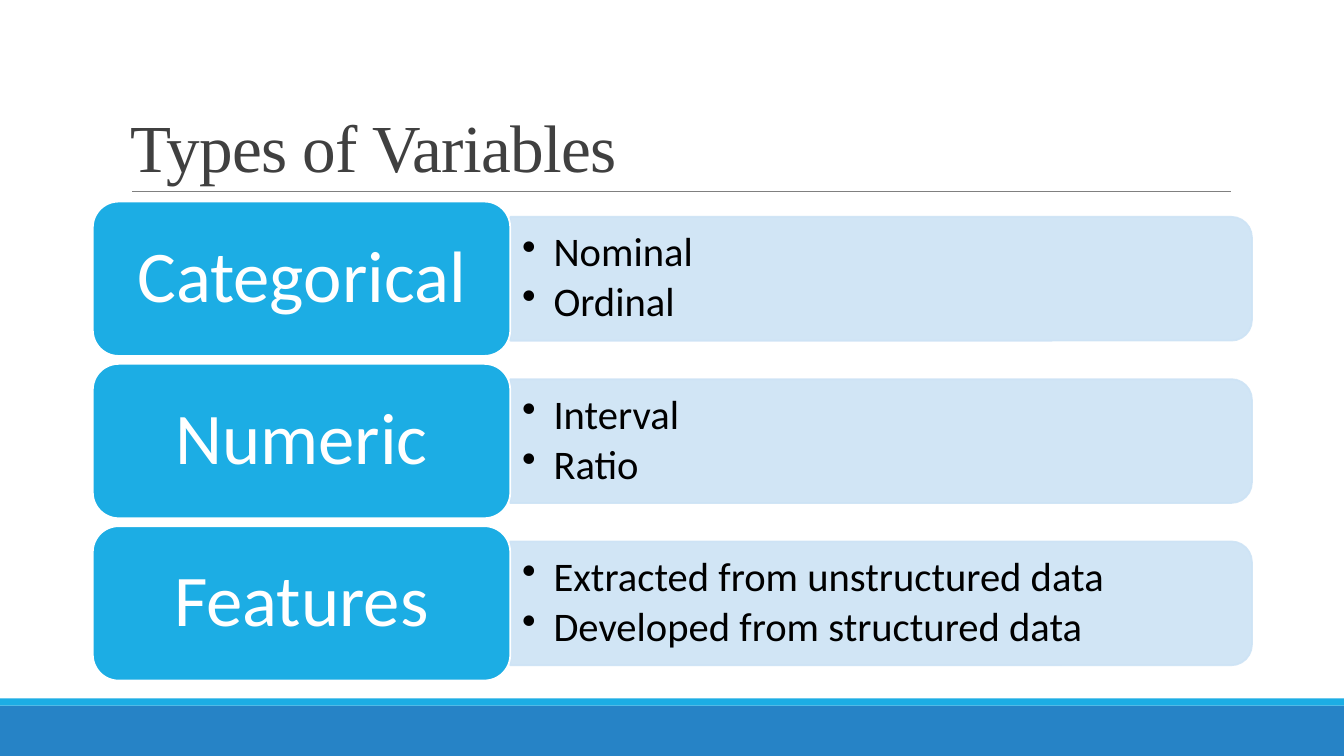
"""Build the "Types of Variables" slide."""
from dataclasses import dataclass

from lxml import etree
from pptx import Presentation
from pptx.dml.color import RGBColor
from pptx.enum import shapes, text
from pptx.oxml import ns
from pptx.util import Cm, Pt

COLORS = {
    "title": "404040", "rule": "808080", "accent": "1CADE4", "footer": "2683C6",
    "panel": "CDE3F5", "white": "FFFFFF", "black": "000000",
}
LABEL_LEFT, LABEL_TOP, LABEL_W, LABEL_H = 2.34, 5.08, 10.52, 3.89
ROW_PITCH = 4.09
PANEL_LEFT, PANEL_W, PANEL_H = LABEL_LEFT + LABEL_W, 18.69, 3.12
ITEMS_W, ITEMS_H = 18.54, 2.82


@dataclass
class Category:
    name: str
    items: list[str]


@dataclass
class Bar:
    top: float
    height: float
    color: str


CATEGORIES = [
    Category("Categorical", ["Nominal", "Ordinal"]),
    Category("Numeric", ["Interval", "Ratio"]),
    Category("Features", ["Extracted from unstructured data",
                          "Developed from structured data"]),
]
BARS = [Bar(17.78, 1.27, "footer"), Bar(17.6, 0.18, "accent")]


def rgb(name: str) -> RGBColor:
    return RGBColor.from_string(COLORS[name])


def add_box(slide, kind, left: float, top: float, width: float, height: float,
            fill: str, line: str | None = None):
    sp = slide.shapes.add_shape(kind, Cm(left), Cm(top), Cm(width), Cm(height))
    sp.shadow.inherit = False
    sp.fill.solid()
    sp.fill.fore_color.rgb = rgb(fill)
    if line:
        sp.line.color.rgb = rgb(line)
        sp.line.width = Pt(1.25)
    else:
        sp.line.fill.background()
    return sp


def write(tf, lines: list[str], *, size: float, color: str, font: str = "Calibri",
          align=text.PP_ALIGN.LEFT, anchor=text.MSO_ANCHOR.MIDDLE,
          spacing: float = 0.9, after: float = 0, bullet: bool = False,
          margins: tuple[float, float] = (0.25, 0.13), tracking: int = 0) -> None:
    tf.word_wrap = True
    tf.vertical_anchor = anchor
    tf.margin_left = tf.margin_right = Cm(margins[0])
    tf.margin_top = tf.margin_bottom = Cm(margins[1])
    for i, line in enumerate(lines):
        p = tf.add_paragraph() if i else tf.paragraphs[0]
        if bullet:
            pPr = p._p.get_or_add_pPr()
            pPr.set("marL", str(Cm(0.79)))
            pPr.set("indent", str(-Cm(0.79)))
            etree.SubElement(pPr, ns.qn("a:buChar")).set("char", "•")
        p.alignment = align
        p.line_spacing = spacing
        p.space_after = Pt(after)
        r = p.add_run()
        r.text = line
        r.font.name, r.font.size = font, Pt(size)
        r.font.color.rgb = rgb(color)
        if tracking:
            r._r.get_or_add_rPr().set("spc", str(tracking))


def add_category(slide, category: Category, top: float) -> None:
    middle = top + LABEL_H / 2
    panel = add_box(slide, shapes.MSO_SHAPE.ROUND_2_SAME_RECTANGLE,
                    PANEL_LEFT + (PANEL_W - PANEL_H) / 2, middle - PANEL_W / 2,
                    PANEL_H, PANEL_W, "panel", "panel")
    panel.rotation = 90
    for clr in panel._element.spPr.iter(ns.qn("a:srgbClr")):
        etree.SubElement(clr, ns.qn("a:alpha")).set("val", "90000")
    items = slide.shapes.add_textbox(Cm(PANEL_LEFT), Cm(middle - ITEMS_H / 2),
                                     Cm(ITEMS_W), Cm(ITEMS_H))
    write(items.text_frame, category.items, size=29, color="black", after=4.35,
          bullet=True, margins=(0.3, 0.15))
    label = add_box(slide, shapes.MSO_SHAPE.ROUNDED_RECTANGLE, LABEL_LEFT, top,
                    LABEL_W, LABEL_H, "accent", "white")
    write(label.text_frame, [category.name], size=52, color="white",
          align=text.PP_ALIGN.CENTER, margins=(0.55, 0.28))


def add_title(slide, title: str) -> None:
    sp = slide.shapes.title
    sp.left, sp.top, sp.width, sp.height = Cm(3.05), Cm(0.79), Cm(27.94), Cm(4.04)
    write(sp.text_frame, [title], size=48, color="title", font="Times New Roman",
          anchor=text.MSO_ANCHOR.BOTTOM, spacing=0.85, tracking=-50)


def add_rule(slide) -> None:
    line = slide.shapes.add_connector(shapes.MSO_CONNECTOR.STRAIGHT,
                                      Cm(3.33), Cm(4.83), Cm(31.01), Cm(4.83))
    line.line.color.rgb = rgb("rule")
    line.line.width = Pt(0.5)
    etree.SubElement(line._element.spPr, ns.qn("a:effectLst"))


def main() -> None:
    prs = Presentation()
    prs.slide_width, prs.slide_height = Cm(33.87), Cm(19.05)
    slide = prs.slides.add_slide(prs.slide_layouts[5])
    for bar in BARS:
        add_box(slide, shapes.MSO_SHAPE.RECTANGLE, 0, bar.top, 33.87, bar.height,
                bar.color)
    add_rule(slide)
    add_title(slide, "Types of Variables")
    for i, category in enumerate(CATEGORIES):
        add_category(slide, category, LABEL_TOP + i * ROW_PITCH)
    prs.save("out.pptx")


if __name__ == "__main__":
    main()
